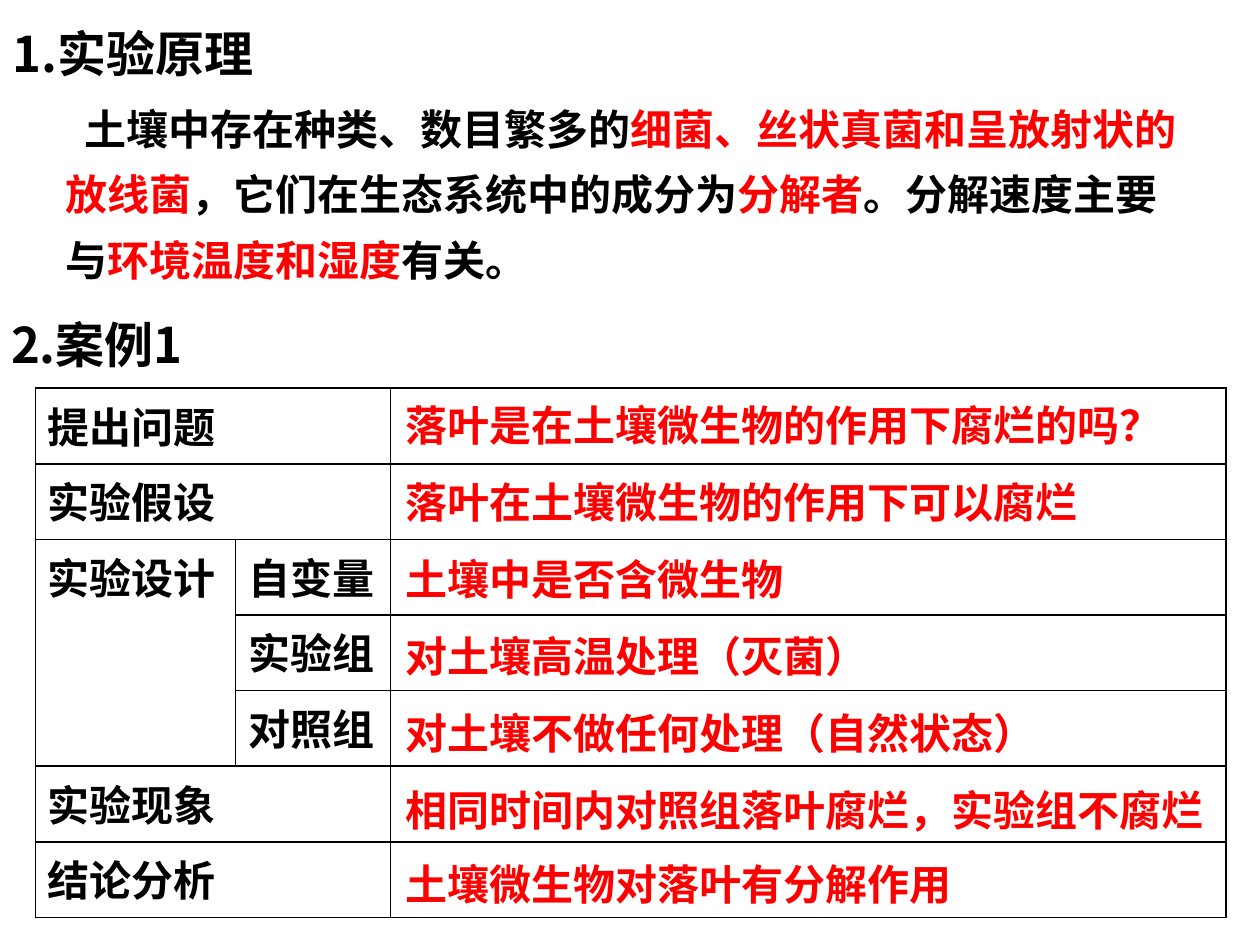
from lxml import etree
from pptx import Presentation
from pptx.dml.color import RGBColor
from pptx.enum.text import MSO_ANCHOR, PP_ALIGN
from pptx.oxml.ns import qn
from pptx.util import Pt

TOP, LEFT = MSO_ANCHOR.TOP, PP_ALIGN.LEFT
FONT = "Noto Sans CJK SC"
BLACK, RED = "000000", "FF0000"

HEADINGS = ["1.实验原理", "2.案例1"]
PRINCIPLE = [
    ("土壤中存在种类、数目繁多的", BLACK),
    ("细菌、丝状真菌和呈放射状的放线菌", RED),
    ("，它们在生态系统中的成分为", BLACK),
    ("分解者", RED),
    ("。分解速度主要与", BLACK),
    ("环境温度和湿度", RED),
    ("有关。", BLACK),
]
LABELS = [
    ("提出问题", None),
    ("实验假设", None),
    ("实验设计", "自变量"),
    ("", "实验组"),
    ("", "对照组"),
    ("实验现象", None),
    ("结论分析", None),
]
ANSWERS = [
    (225, "落叶是在土壤微生物的作用下腐烂的吗？"),
    (269, "落叶在土壤微生物的作用下可以腐烂"),
    (313, "土壤中是否含微生物"),
    (357, "对土壤高温处理（灭菌）"),
    (401, "对土壤不做任何处理（自然状态）"),
    (445, "相同时间内对照组落叶腐烂，实验组不腐烂"),
    (487, "土壤微生物对落叶有分解作用"),
]
COLUMNS = [114.5, 88.6, 477.4]
ROW = 43.2


def rgb(value):
    return RGBColor.from_string(value)


def style(r, color=BLACK, size=24):
    r.font.name, r.font.size, r.font.bold = FONT, Pt(size), True
    r.font.color.rgb = rgb(color)
    ea = etree.SubElement(r.font._element, qn("a:ea"))
    ea.set("typeface", FONT)


def write(tf, runs, size=24, spacing=None):
    tf.word_wrap = True
    tf.vertical_anchor = TOP
    p = tf.paragraphs[0]
    p.alignment = LEFT
    p.line_spacing = spacing
    for text, color in runs:
        r = p.add_run()
        r.text = text
        style(r, color, size)
    return p


def place(sp, left, top, width, height):
    sp.left, sp.top, sp.width, sp.height = Pt(left), Pt(top), Pt(width), Pt(height)


def add_text(s, box, runs, size=24, spacing=None):
    sp = s.shapes.add_textbox(*(Pt(v) for v in box))
    return write(sp.text_frame, runs, size, spacing)


def add_borders(cell):
    tcPr = cell._tc.get_or_add_tcPr()
    for side in ("lnL", "lnR", "lnT", "lnB"):
        ln = etree.SubElement(tcPr, qn("a:" + side), w=str(Pt(1)))
        fill = etree.SubElement(ln, qn("a:solidFill"))
        etree.SubElement(fill, qn("a:srgbClr"), val=BLACK)


def add_label_table(s):
    frame = s.shapes.add_table(len(LABELS), len(COLUMNS), Pt(20.2), Pt(221.8),
                               Pt(sum(COLUMNS)), Pt(ROW * len(LABELS)))
    table = frame.table
    table.first_row = table.horz_banding = False
    for column, width in zip(table.columns, COLUMNS):
        column.width = Pt(width)
    for row in table.rows:
        row.height = Pt(ROW)
    for cell in table.iter_cells():
        add_borders(cell)
        cell.fill.background()
    for i, (label, sub) in enumerate(LABELS):
        if sub is None:
            table.cell(i, 0).merge(table.cell(i, 1))
        for j, text in enumerate((label, sub)):
            if text:
                tf = table.cell(i, j).text_frame
                tf.text = text
                style(tf.paragraphs[0].runs[0])
    table.cell(2, 0).merge(table.cell(4, 0))


def main():
    prs = Presentation()
    prs.slide_width, prs.slide_height = Pt(720), Pt(540)
    s = prs.slides.add_slide(prs.slide_layouts[5])

    title = s.shapes.title
    place(title, 0, 0, 720, 51)
    write(title.text_frame, [(HEADINGS[0], BLACK)], 28, 1.3)

    p = add_text(s, (30.2, 46.8, 657.4, 120.2), PRINCIPLE, spacing=1.3)
    p._p.get_or_add_pPr().set("indent", str(Pt(10.8)))

    add_text(s, (-0.7, 166.3, 720, 51), [(HEADINGS[1], BLACK)], 28, 1.3)
    add_label_table(s)
    for top, answer in ANSWERS:
        add_text(s, (224.6, top, 494, 36), [(answer, RED)])

    prs.save("out.pptx")


if __name__ == "__main__":
    main()
